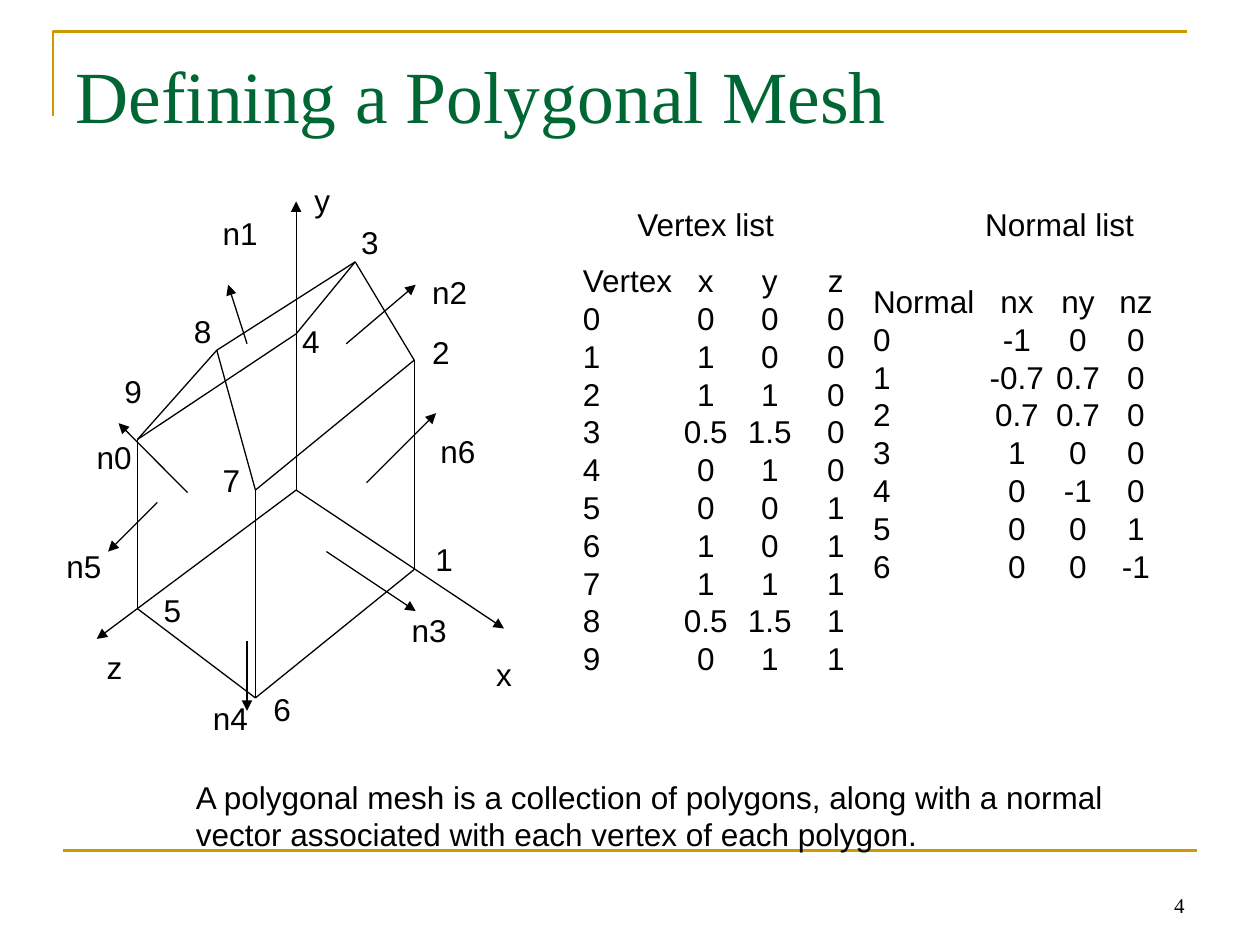
from pptx import Presentation
from pptx.dml.color import RGBColor
from pptx.enum.shapes import MSO_CONNECTOR
from pptx.enum.text import MSO_ANCHOR, PP_ALIGN
from pptx.oxml.ns import qn
from pptx.util import Cm, Pt
from lxml.etree import SubElement

COLORS = {"text": "000000", "title": "006633", "rule": "CC9900"}
BODY_FONT = "Arial"
TITLE_FONT = "Times New Roman"

VERTICES = [
    (4.88, 6.35), (7.26, 7.95), (7.26, 3.73), (6.07, 1.75), (4.88, 3.2),
    (1.68, 8.74), (4.06, 10.54), (4.06, 6.35), (3.28, 3.53), (1.68, 5.33),
]
EDGES = [(9, 5), (5, 6), (6, 1), (9, 8), (8, 3), (3, 4),
         (8, 7), (7, 6), (2, 1), (7, 2), (2, 3), (9, 4)]
AXIS_TIPS = [(4.88, 0.53), (0.86, 9.35), (9.07, 9.14)]
NORMALS = [
    ((2.69, 6.4), (1.3, 5)), ((3.89, 3.4), (3.51, 2.21)),
    ((5.89, 3.4), (7.29, 2.21)), ((5.49, 7.59), (7.29, 8.79)),
    ((3.89, 9.4), (3.89, 10.8)), ((2.08, 6.6), (1.09, 7.59)),
    ((6.3, 6.2), (7.7, 4.8)),
]
LABELS = {
    "x": (8.66, 9.55), "y": (5, 0), "z": (0.81, 9.4),
    "1": (7.44, 7.24), "2": (7.37, 3.05), "3": (5.94, 0.84),
    "4": (4.75, 2.84), "5": (1.96, 8.26), "6": (4.17, 10.26),
    "7": (3.15, 5.64), "8": (2.57, 2.64), "9": (1.17, 3.84),
    "n0": (0.61, 5.18), "n1": (3.15, 0.66), "n2": (7.37, 1.85),
    "n3": (6.96, 8.66), "n4": (2.95, 10.44), "n5": (0, 7.37),
    "n6": (7.54, 5.05),
}
VERTEX_ROWS = [
    "Vertex x y z", "0 0 0 0", "1 1 0 0", "2 1 1 0", "3 0.5 1.5 0",
    "4 0 1 0", "5 0 0 1", "6 1 0 1", "7 1 1 1", "8 0.5 1.5 1", "9 0 1 1",
]
NORMAL_ROWS = [
    "Normal nx ny nz", "0 -1 0 0", "1 -0.7 0.7 0", "2 0.7 0.7 0",
    "3 1 0 0", "4 0 -1 0", "5 0 0 1", "6 0 0 -1",
]


def add_run(paragraph, text, size=18, font=BODY_FONT, color="text"):
    """Append one formatted run to a paragraph."""
    run = paragraph.add_run()
    run.text = text
    run.font.size = Pt(size)
    run.font.name = font
    run.font.color.rgb = RGBColor.from_string(COLORS[color])


def add_text(slide, box, lines, wrap=True, stops=()):
    """Add a text box with one paragraph per line and centred tab stops."""
    shape = slide.shapes.add_textbox(*(Cm(length) for length in box))
    frame = shape.text_frame
    frame.word_wrap = wrap
    for index, line in enumerate(lines):
        paragraph = frame.add_paragraph() if index else frame.paragraphs[0]
        if stops:
            properties = paragraph._p.get_or_add_pPr()
            tab_list = SubElement(properties, qn("a:tabLst"))
            for stop in stops:
                SubElement(tab_list, qn("a:tab"), pos=str(Cm(stop)), algn="ctr")
        add_run(paragraph, line)


def add_line(slide, start, end, color="text", width=0.75, arrow=False):
    """Draw a straight line, with an arrowhead at its end if wanted."""
    connector = slide.shapes.add_connector(
        MSO_CONNECTOR.STRAIGHT, *(Cm(length) for length in (*start, *end)))
    connector.line.color.rgb = RGBColor.from_string(COLORS[color])
    connector.line.width = Pt(width)
    if arrow:
        SubElement(connector.line._get_or_add_ln(), qn("a:tailEnd"), type="triangle")
    SubElement(connector._element.spPr, qn("a:effectLst"))


def add_frame(slide, box):
    """Draw the gold corner at the top and the gold rule at the bottom."""
    left, top, width, height = box
    builder = slide.shapes.build_freeform(Cm(left), Cm(top + 1.7))
    builder.add_line_segments(
        [(Cm(left), Cm(top)), (Cm(left + width), Cm(top))], close=False)
    corner = builder.convert_to_shape()
    corner.shadow.inherit = False
    corner.fill.background()
    corner.line.color.rgb = RGBColor.from_string(COLORS["rule"])
    corner.line.width = Pt(1.5)
    bottom = top + height
    add_line(slide, (left + 0.2, bottom), (left + 0.2 + width, bottom), "rule", 1.5)


def add_title(slide, box, text):
    """Place and format the title placeholder."""
    title = slide.shapes.title
    title.left, title.top, title.width, title.height = (Cm(length) for length in box)
    frame = title.text_frame
    frame.vertical_anchor = MSO_ANCHOR.TOP
    frame.margin_top = Cm(0.25)
    frame.paragraphs[0].alignment = PP_ALIGN.LEFT
    add_run(frame.paragraphs[0], text, 42, TITLE_FONT, "title")


def add_page_number(slide, box, number):
    """Place the slide number at the bottom right."""
    shape = slide.shapes.add_textbox(*(Cm(length) for length in box))
    frame = shape.text_frame
    frame.word_wrap = True
    frame.vertical_anchor = MSO_ANCHOR.BOTTOM
    frame.paragraphs[0].alignment = PP_ALIGN.RIGHT
    add_run(frame.paragraphs[0], number, 12, TITLE_FONT)


def add_mesh(slide, box):
    """Draw the house mesh with its axes, face normals and labels."""
    left, top = box[:2]

    def place(point):
        """Shift a point of the mesh into its box."""
        return left + point[0], top + point[1]

    for tip in AXIS_TIPS:
        add_line(slide, place(VERTICES[0]), place(tip), arrow=True)
    for first, second in EDGES:
        add_line(slide, place(VERTICES[first]), place(VERTICES[second]))
    for start, end in NORMALS:
        add_line(slide, place(start), place(end), arrow=True)
    for text, point in LABELS.items():
        width = 0.86 if len(text) == 1 else 1.22
        add_text(slide, (*place(point), width, 1.02), [text], wrap=False)


def add_list(slide, box, heading, heading_offset, rows, rows_offset, stops):
    """Place a heading above rows whose columns sit on tab stops."""
    left, top, width, height = box
    add_text(slide, (left + heading_offset, top, 3.5, 1.02), [heading], wrap=False)
    add_text(slide, (left, top + rows_offset, width, height - rows_offset),
             [row.replace(" ", "\t") for row in rows], stops=stops)


def main():
    """Build the slide and save it."""
    presentation = Presentation()
    presentation.slide_width, presentation.slide_height = Cm(25.4), Cm(19.05)
    slide = presentation.slides.add_slide(presentation.slide_layouts[5])
    add_frame(slide, (1.07, 0.64, 22.86, 16.51))
    add_title(slide, (1.27, 0.76, 22.86, 3.18), "Defining a Polygonal Mesh")
    add_page_number(slide, (18.2, 17.35, 5.93, 1.27), "4")
    add_text(slide, (3.7, 15.55, 19.5, 1.78), [
        "A polygonal mesh is a collection of polygons, along with a normal",
        "vector associated with each vertex of each polygon.",
    ])
    add_mesh(slide, (1.09, 3.53, 9.5, 11.5))
    add_list(slide, (11.5, 4, 6.3, 10.53), "Vertex list", 1.1,
             VERTEX_ROWS, 1.14, (2.48, 3.77, 5.1))
    add_list(slide, (17.35, 4, 8, 7.9), "Normal list", 2.26,
             NORMAL_ROWS, 1.56, (2.9, 4.13, 5.3))
    presentation.save("out.pptx")


if __name__ == "__main__":
    main()
